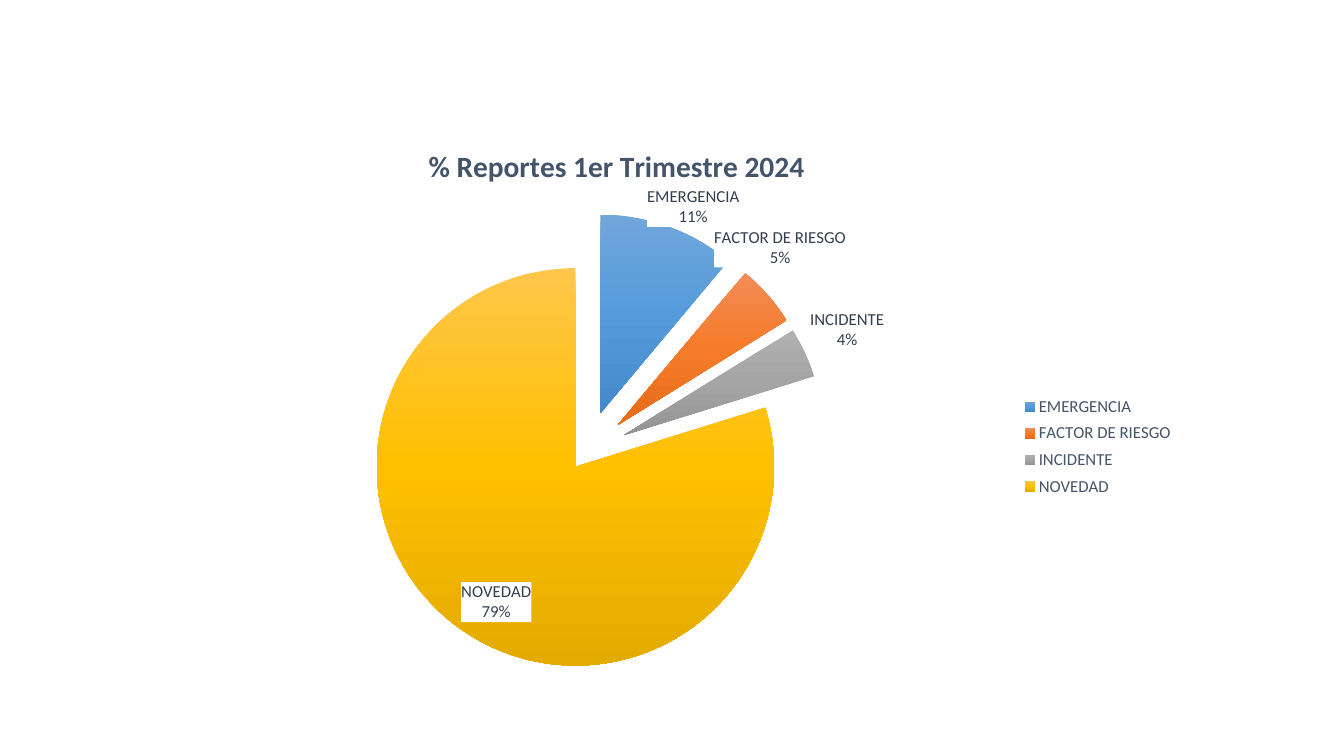
from copy import deepcopy

from lxml import etree
from pptx import Presentation
from pptx.chart.data import CategoryChartData
from pptx.dml.color import RGBColor
from pptx.enum.chart import XL_CHART_TYPE, XL_LABEL_POSITION, XL_LEGEND_POSITION
from pptx.oxml import parse_xml
from pptx.oxml.ns import nsdecls, qn
from pptx.util import Cm, Pt

PIE = XL_CHART_TYPE.PIE
IN_END = XL_LABEL_POSITION.INSIDE_END
RIGHT = XL_LEGEND_POSITION.RIGHT

SLATE = RGBColor(0x44, 0x54, 0x6A)
INK = RGBColor(0x33, 0x3F, 0x50)
BLUES = [RGBColor(0x71, 0xA6, 0xDB), RGBColor(0x55, 0x9B, 0xDB), RGBColor(0x44, 0x8A, 0xCA)]
REDS = [RGBColor(0xF1, 0x8C, 0x57), RGBColor(0xF6, 0x7B, 0x28), RGBColor(0xE5, 0x6C, 0x19)]
GREYS = [RGBColor(0xAF, 0xAF, 0xAF), RGBColor(0xA5, 0xA5, 0xA5), RGBColor(0x93, 0x93, 0x93)]
GOLDS = [RGBColor(0xFF, 0xC6, 0x4B), RGBColor(0xFF, 0xC0, 0x00), RGBColor(0xE3, 0xAB, 0x00)]

# Name, percentage, gradient, explosion, label shift
BURST = 21
SLICES = [
    ("EMERGENCIA", 11, BLUES, BURST, (-0.02, 0.01)),
    ("FACTOR DE RIESGO", 5, REDS, BURST, (-0.05, -0.04)),
    ("INCIDENTE", 4, GREYS, BURST, (0, 0)),
    ("NOVEDAD", 79, GOLDS, 9, None),
]


def style(font, size, color, bold=False):
    font.name = "Calibri"
    font.size = Pt(size)
    font.color.rgb = color
    font.bold = bold


def place(parent, before, **marks):
    """Give a chart part a manual layout, ahead of the child named before."""
    for old in parent.findall(qn("c:layout")):
        parent.remove(old)
    layout = etree.Element(qn("c:layout"))
    manual = etree.SubElement(layout, qn("c:manualLayout"))
    for tag, value in marks.items():
        etree.SubElement(manual, qn("c:" + tag), val=str(value))
    parent.find(qn(before)).addprevious(layout)


prs = Presentation()
prs.slide_width = Cm(33.87)
prs.slide_height = Cm(19.05)
slide = prs.slides.add_slide(prs.slide_layouts[6])

data = CategoryChartData()
data.categories = [item[0] for item in SLICES]
data.add_series("Series 1", [item[1] for item in SLICES])
frame = slide.shapes.add_chart(PIE, Cm(2.46), Cm(3.1), Cm(29.31), Cm(14.96), data)
chart = frame.chart
root = chart.element
style(chart.font, 10, RGBColor(0, 0, 0))

# Title, legend and plot area
chart.has_title = True
title = chart.chart_title.text_frame
title.text = "% Reportes 1er Trimestre 2024"
style(title.paragraphs[0].runs[0].font, 21, SLATE, bold=True)
chart.chart_title.include_in_layout = False

chart.has_legend = True
chart.legend.position = RIGHT
chart.legend.include_in_layout = False
style(chart.legend.font, 12, SLATE)

place(next(root.iter(qn("c:title"))), "c:overlay",
      xMode="edge", yMode="edge", x=0.28, y=0.03)
place(next(root.iter(qn("c:legend"))), "c:overlay",
      xMode="edge", yMode="edge", x=0.79, y=0.45, w=0.14, h=0.19)
place(next(root.iter(qn("c:plotArea"))), "c:pieChart", layoutTarget="inner",
      xMode="edge", yMode="edge", x=0.04, y=0.15, w=0.76, h=0.81)

# Slices
plot = chart.plots[0]
plot.vary_by_categories = True
series = plot.series[0]
for i, (name, value, colors, burst, shift) in enumerate(SLICES):
    look = series.points[i].format
    look.line.fill.background()
    look.fill.gradient()
    look.fill.gradient_angle = 270
    part = list(root.iter(qn("c:dPt")))[i]
    first = next(part.iter(qn("a:gs")))
    middle = deepcopy(first)
    middle.set("pos", "50000")
    first.addnext(middle)
    for stop, color in zip(look.fill.gradient_stops, colors):
        stop.color.rgb = color
    blast = etree.Element(qn("c:explosion"), val=str(burst))
    part.find(qn("c:spPr")).addprevious(blast)
whole = etree.Element(qn("c:explosion"), val=str(BURST))
next(root.iter(qn("c:dPt"))).addprevious(whole)

# Labels
labels = series.data_labels
labels.show_category_name = True
labels.show_value = True
labels.show_percentage = False
labels.number_format = '0"%"'
labels.number_format_is_linked = False
labels.position = IN_END
style(labels.font, 12, INK)

group = next(root.iter(qn("c:dLbls")))
group.find(qn("c:numFmt")).addnext(parse_xml(
    f'<c:spPr {nsdecls("c", "a")}><a:solidFill><a:srgbClr val="FFFFFF"/></a:solidFill>'
    '<a:ln><a:noFill/></a:ln></c:spPr>'))
for old in group.findall(qn("c:showLeaderLines")):
    group.remove(old)
etree.SubElement(group, qn("c:separator")).text = "\n"

shared = list(group)
etree.SubElement(group, qn("c:showLeaderLines"), val="0")
spot = 0
for i, (name, value, colors, burst, shift) in enumerate(SLICES):
    if shift is None:
        continue
    label = etree.Element(qn("c:dLbl"))
    etree.SubElement(label, qn("c:idx"), val=str(i))
    label.extend(deepcopy(shared))
    label.find(qn("c:dLblPos")).set("val", "outEnd")
    if any(shift):
        place(label, "c:numFmt", x=shift[0], y=shift[1])
    group.insert(spot, label)
    spot += 1

prs.save("out.pptx")
